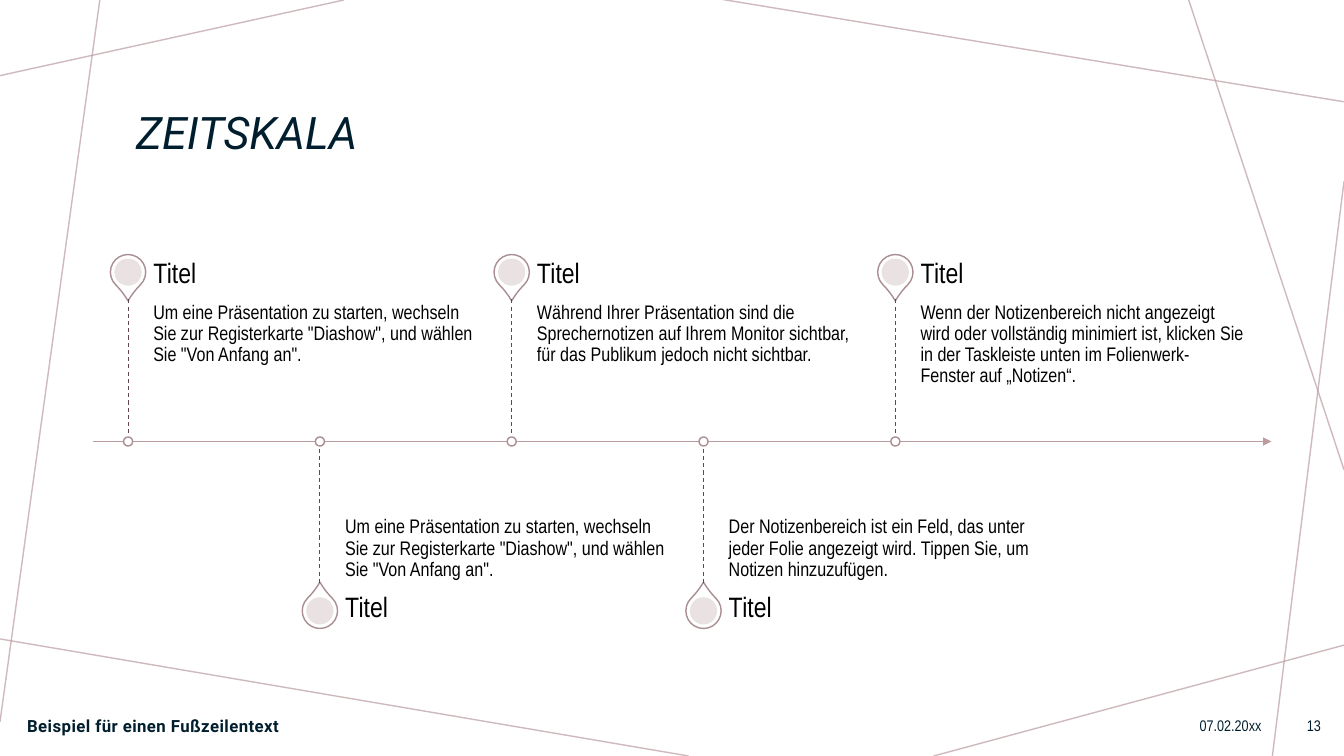
from pptx import Presentation
from pptx.dml.color import RGBColor
from pptx.enum.dml import MSO_LINE
from pptx.enum.shapes import MSO_CONNECTOR, MSO_SHAPE
from pptx.enum.text import MSO_ANCHOR, PP_ALIGN
from pptx.oxml.ns import qn
from pptx.oxml.xmlchemy import OxmlElement
from pptx.util import Inches, Pt

STRAIGHT = MSO_CONNECTOR.STRAIGHT
DASH = MSO_LINE.DASH
ELLIPSE, TEARDROP = MSO_SHAPE.OVAL, MSO_SHAPE.TEAR
TOP, MIDDLE, BOTTOM = MSO_ANCHOR.TOP, MSO_ANCHOR.MIDDLE, MSO_ANCHOR.BOTTOM
LEFT, RIGHT = PP_ALIGN.LEFT, PP_ALIGN.RIGHT

WHITE = RGBColor(0xFF, 0xFF, 0xFF)
BLACK = RGBColor(0x00, 0x00, 0x00)
NAVY = RGBColor(0x00, 0x1E, 0x2E)
ROSE = RGBColor(0xBA, 0x9C, 0xA0)
PIN_LINE = RGBColor(0xA9, 0x8E, 0x91)
PIN_FILL = RGBColor(0xE7, 0xDE, 0xDF)
STEM = RGBColor(0x65, 0x46, 0x4A)

HEADING_FONT = "Roboto"
BODY_FONT = "Arial Narrow"

# Timeline geometry in inches
AXIS_Y = 4.38
FIRST_X, LAST_X = 1.27, 8.88
STEM_LENGTH = 1.41
PIN_DISTANCE = 1.68
TEXT_GAP, TEXT_WIDTH = 0.25, 3.21
HEADING_HEIGHT = 0.49

BACKGROUND_LINES = [
    (3.41, 0, 0, 0.75),
    (0.99, 0, 0, 7.16),
    (6.83, 7.5, -0.05, 6.33),
    (13.33, 6.4, 9.26, 7.5),
    (13.33, 1.8, 12.62, 7.5),
    (13.33, 4.66, 11.79, 0),
    (13.33, 1.01, 7.14, -0.01),
]

START_TEXT = ('Um eine Präsentation zu starten, wechseln Sie zur Registerkarte '
              '"Diashow", und wählen Sie "Von Anfang an".')
MILESTONES = [
    START_TEXT,
    START_TEXT,
    "Während Ihrer Präsentation sind die Sprechernotizen auf Ihrem Monitor "
    "sichtbar, für das Publikum jedoch nicht sichtbar.",
    "Der Notizenbereich ist ein Feld, das unter jeder Folie angezeigt wird. "
    "Tippen Sie, um Notizen hinzuzufügen.",
    "Wenn der Notizenbereich nicht angezeigt wird oder vollständig minimiert "
    "ist, klicken Sie in der Taskleiste unten im Folienwerk-Fenster auf "
    "„Notizen“.",
]


def set_alpha(fill, percent):
    """Make a solid colour partly transparent."""
    alpha = OxmlElement("a:alpha")
    alpha.set("val", str(percent * 1000))
    fill._xPr.find(qn("a:solidFill"))[0].append(alpha)


def add_line(slide, x1, y1, x2, y2, color, width=1.0):
    line = slide.shapes.add_connector(
        STRAIGHT, Inches(x1), Inches(y1), Inches(x2), Inches(y2))
    line.line.color.rgb = color
    line.line.width = Pt(width)
    line._element.spPr.append(OxmlElement("a:effectLst"))
    return line


def add_round_shape(slide, kind, center_x, center_y, size, fill, outline=None):
    shape = slide.shapes.add_shape(
        kind, Inches(center_x - size / 2), Inches(center_y - size / 2),
        Inches(size), Inches(size))
    shape.shadow.inherit = False
    shape.fill.solid()
    shape.fill.fore_color.rgb = fill
    if outline is None:
        shape.line.fill.background()
    else:
        shape.line.color.rgb = outline
        shape.line.width = Pt(1)
    return shape


def format_text(text_frame, text, size, font_name, color, anchor=MIDDLE,
                align=LEFT, line_spacing=1.0):
    text_frame.word_wrap = True
    text_frame.vertical_anchor = anchor
    text_frame.text = text
    paragraph = text_frame.paragraphs[0]
    paragraph.alignment = align
    paragraph.line_spacing = line_spacing
    run = paragraph.runs[0]
    run.font.size = Pt(size)
    run.font.name = font_name
    run.font.color.rgb = color
    return run


def add_text(slide, left, top, width, height, text, size, font_name, color,
             margins=None, **options):
    box = slide.shapes.add_textbox(
        Inches(left), Inches(top), Inches(width), Inches(height))
    text_frame = box.text_frame
    if margins is not None:
        text_frame.margin_left = text_frame.margin_right = 0
        text_frame.margin_top = text_frame.margin_bottom = Inches(margins)
    return format_text(text_frame, text, size, font_name, color, **options)


def add_axis(slide):
    axis = add_line(slide, 0.92, AXIS_Y, 12.61, AXIS_Y, ROSE)
    arrowhead = OxmlElement("a:tailEnd")
    arrowhead.set("type", "triangle")
    axis.line._get_or_add_ln().append(arrowhead)


def add_milestone(slide, x, text, above):
    direction = -1 if above else 1
    stem_end = AXIS_Y + direction * STEM_LENGTH
    pin_y = AXIS_Y + direction * PIN_DISTANCE

    # Pin whose tip points at the axis
    pin = add_round_shape(slide, TEARDROP, x, pin_y, 0.35, WHITE, PIN_LINE)
    pin.adjustments[0] = 1.15
    pin.rotation = 135 if above else 315
    core = add_round_shape(slide, ELLIPSE, x, pin_y, 0.27, PIN_FILL)
    set_alpha(core.fill, 90)

    # Description between axis and heading
    text_left = x + TEXT_GAP
    add_text(slide, text_left, min(AXIS_Y, stem_end), TEXT_WIDTH, STEM_LENGTH,
             text, 14, BODY_FONT, BLACK, margins=0.03,
             anchor=TOP if above else BOTTOM, line_spacing=0.9)
    heading_top = stem_end - HEADING_HEIGHT if above else stem_end
    add_text(slide, text_left, heading_top, TEXT_WIDTH, HEADING_HEIGHT,
             "Titel", 20, BODY_FONT, BLACK, margins=0, line_spacing=0.9)

    # Stem and point on the axis
    stem = add_line(slide, x, min(AXIS_Y, stem_end), x, max(AXIS_Y, stem_end),
                    STEM, 0.75)
    stem.line.dash_style = DASH
    add_round_shape(slide, ELLIPSE, x, AXIS_Y, 0.09, WHITE, PIN_LINE)


def add_title(slide):
    title = slide.shapes.title
    title.left, title.top = Inches(1.25), Inches(0.58)
    title.width, title.height = Inches(10.83), Inches(1.51)
    run = format_text(title.text_frame, "ZEITSKALA", 32, HEADING_FONT, NAVY,
                      line_spacing=0.9)
    run.font.italic = True


def add_footer(slide):
    footer = add_text(slide, 0.17, 7, 4.92, 0.4,
                      "Beispiel für einen Fußzeilentext", 12, HEADING_FONT, NAVY)
    footer.font.bold = True
    footer._r.get_or_add_rPr().set("spc", "30")
    for left, width, text in [(8.02, 4.59, "07.02.20xx"), (12.69, 0.51, "13")]:
        add_text(slide, left, 7, width, 0.4, text, 11, BODY_FONT, NAVY,
                 align=RIGHT)


def main():
    presentation = Presentation()
    presentation.slide_width = Inches(13.33)
    presentation.slide_height = Inches(7.5)
    slide = presentation.slides.add_slide(presentation.slide_layouts[5])

    # Background lines
    for ends in BACKGROUND_LINES:
        line = add_line(slide, *ends, ROSE)
        set_alpha(line.line.fill, 70)

    add_title(slide)

    # Timeline, alternating above and below the axis
    add_axis(slide)
    step = (LAST_X - FIRST_X) / (len(MILESTONES) - 1)
    for index, text in enumerate(MILESTONES):
        add_milestone(slide, FIRST_X + index * step, text, index % 2 == 0)

    add_footer(slide)
    presentation.save("out.pptx")


if __name__ == "__main__":
    main()
